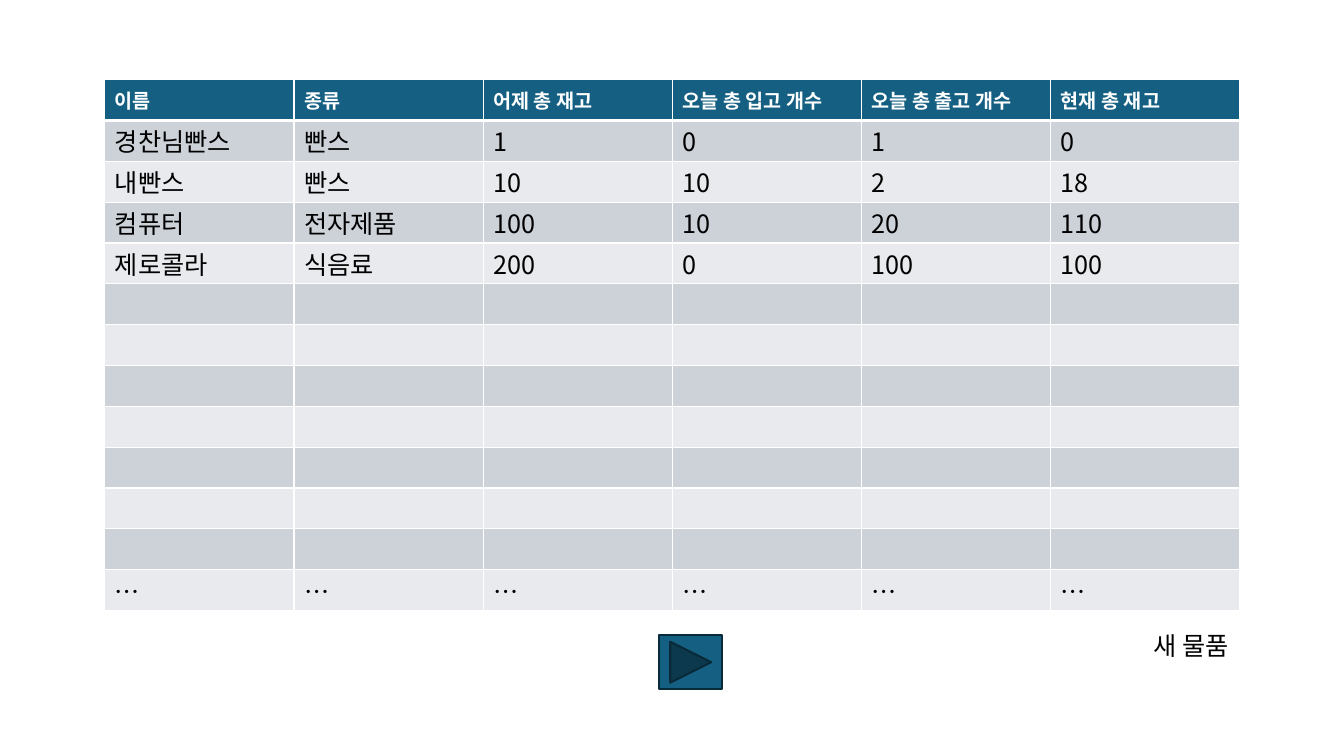
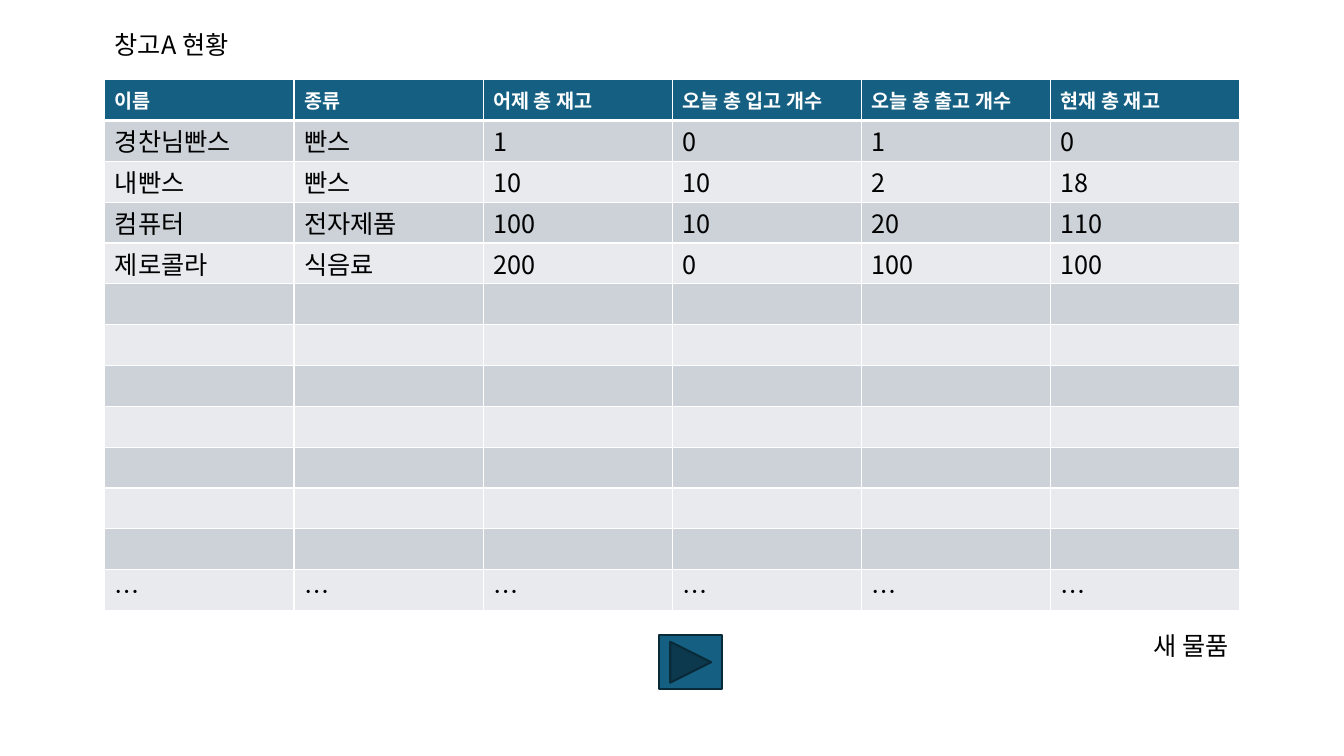
from lxml.etree import SubElement
from pptx import Presentation
from pptx.dml.color import RGBColor
from pptx.enum.shapes import MSO_SHAPE
from pptx.enum.text import MSO_ANCHOR, MSO_AUTO_SIZE
from pptx.oxml.ns import qn
from pptx.text.text import Font
from pptx.util import Inches, Pt

FONT = "Noto Sans CJK KR"
TEAL = RGBColor(0x15, 0x60, 0x82)
DARK_TEAL = RGBColor(0x09, 0x2A, 0x39)
BAND_DARK = RGBColor(0xCC, 0xD2, 0xD8)
BAND_LIGHT = RGBColor(0xE8, 0xEA, 0xED)
WHITE = RGBColor(0xFF, 0xFF, 0xFF)
BLACK = RGBColor(0x00, 0x00, 0x00)

HEADER_STYLE = {"size": Pt(14), "bold": True, "name": FONT}
BODY_STYLE = {"size": Pt(18), "bold": False, "name": FONT}
CELL_FORMAT = {
    "margin_top": Inches(0.02),
    "margin_bottom": Inches(0.02),
    "vertical_anchor": MSO_ANCHOR.MIDDLE,
}

COLUMNS = ["이름", "종류", "어제 총 재고", "오늘 총 입고 개수", "오늘 총 출고 개수", "현재 총 재고"]
ITEMS = [
    ["경찬님빤스", "빤스", "1", "0", "1", "0"],
    ["내빤스", "빤스", "10", "10", "2", "18"],
    ["컴퓨터", "전자제품", "100", "10", "20", "110"],
    ["제로콜라", "식음료", "200", "0", "100", "100"],
]
EMPTY_ROWS = 7
STOCK_ROWS = [COLUMNS] + ITEMS + [[""] * len(COLUMNS)] * EMPTY_ROWS + [["…"] * len(COLUMNS)]


def write(paragraph, text, style, color):
    if text:
        run = paragraph.add_run()
        run.text = text
        properties = run._r.get_or_add_rPr()
    else:
        properties = paragraph._p.get_or_add_endParaRPr()
    font = Font(properties)
    for attribute, value in style.items():
        setattr(font, attribute, value)
    font.color.rgb = color
    SubElement(properties, qn("a:ea")).set("typeface", FONT)


def add_label(slide, text, left, top, width):
    label = slide.shapes.add_textbox(Inches(left), Inches(top), Inches(width), Inches(0.4))
    label.text_frame.word_wrap = True
    label.text_frame.auto_size = MSO_AUTO_SIZE.SHAPE_TO_FIT_TEXT
    write(label.text_frame.paragraphs[0], text, BODY_STYLE, BLACK)


prs = Presentation()
prs.slide_width = Inches(13.33)
prs.slide_height = Inches(7.5)

for heading in ["", "창고A 현황"]:
    slide = prs.slides.add_slide(prs.slide_layouts[6])

    stock = slide.shapes.add_table(
        len(STOCK_ROWS), len(COLUMNS), Inches(1.04), Inches(0.79), Inches(11.26), Inches(5.27)
    ).table
    for row, values in enumerate(STOCK_ROWS):
        if row == 0:
            fill, style, color = TEAL, HEADER_STYLE, WHITE
        else:
            fill, style, color = (BAND_DARK if row % 2 else BAND_LIGHT), BODY_STYLE, BLACK
        for column, value in enumerate(values):
            cell = stock.cell(row, column)
            for attribute, setting in CELL_FORMAT.items():
                setattr(cell, attribute, setting)
            cell.fill.solid()
            cell.fill.fore_color.rgb = fill
            write(cell.text_frame.paragraphs[0], value, style, color)
            if row == 0:
                cell_properties = cell._tc.get_or_add_tcPr()
                rule = SubElement(cell_properties, qn("a:lnB"), w=str(Pt(3)))
                rule_fill = SubElement(rule, qn("a:solidFill"))
                SubElement(rule_fill, qn("a:srgbClr"), val=str(WHITE))
                cell_properties.insert(0, rule)

    add_label(slide, "새 물품", 11.34, 6.2, 1.14)

    next_button = slide.shapes.add_shape(
        MSO_SHAPE.ACTION_BUTTON_FORWARD_OR_NEXT, Inches(6.54), Inches(6.3), Inches(0.62), Inches(0.54)
    )
    next_button.shadow.inherit = False
    next_button.fill.solid()
    next_button.fill.fore_color.rgb = TEAL
    next_button.line.color.rgb = DARK_TEAL
    next_button.line.width = Pt(1.5)

    if heading:
        add_label(slide, heading, 1.04, 0.24, 1.61)

prs.save("out.pptx")
